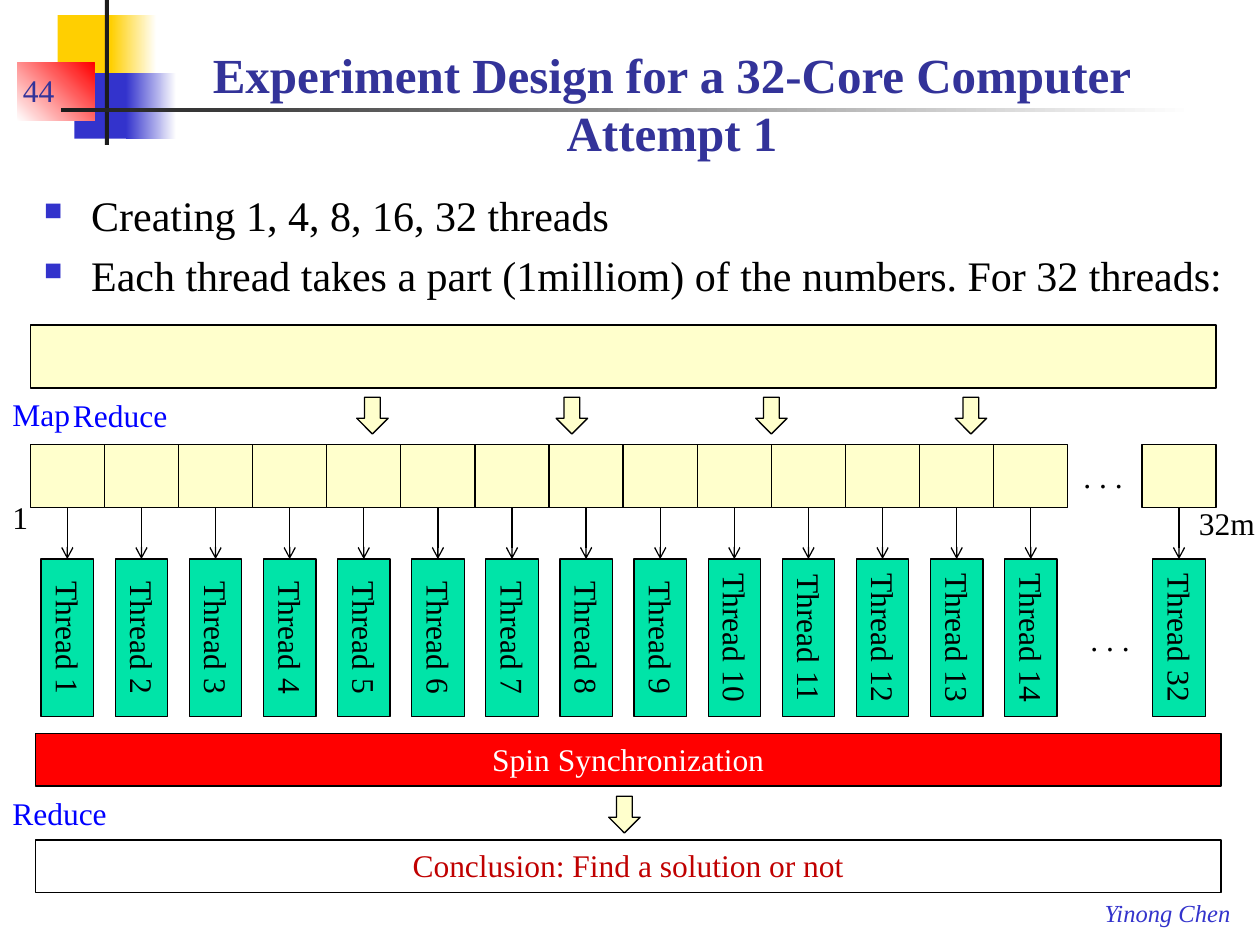
from dataclasses import dataclass, field
from typing import Any, Optional

import pptx
import pptx.dml.color
import pptx.enum.shapes
import pptx.enum.text
import pptx.oxml
import pptx.oxml.ns
import pptx.util

Pt = pptx.util.Pt
SHAPE = pptx.enum.shapes.MSO_SHAPE
ANCHOR = pptx.enum.text.MSO_ANCHOR
ALIGN = pptx.enum.text.PP_ALIGN
FIT = pptx.enum.text.MSO_AUTO_SIZE


@dataclass(frozen=True)
class Theme:
    font: str = "Times New Roman"
    title_size: float = 28
    body_size: float = 24
    label_size: float = 18
    footer_size: float = 14
    line_width: float = 0.75
    navy: str = "333399"
    blue: str = "3333CC"
    link: str = "0000FF"
    gold: str = "FFCF01"
    red: str = "FF0000"
    dark_red: str = "C00000"
    cream: str = "FFFFCC"
    green: str = "00E4A8"
    ink: str = "1C1C1C"
    black: str = "000000"
    white: str = "FFFFFF"


T = Theme()


@dataclass(frozen=True)
class Frame:
    x: float
    y: float
    w: float
    h: float

    def lengths(self) -> tuple:
        return tuple(Pt(v) for v in (self.x, self.y, self.w, self.h))


@dataclass(frozen=True)
class Decor:
    frame: Frame
    start: str
    end: Optional[str] = None
    angle: float = 0


@dataclass(frozen=True)
class Box:
    frame: Frame
    fill: str
    text: str = ""
    color: str = T.black
    kind: Any = SHAPE.RECTANGLE
    rotation: float = 0


@dataclass(frozen=True)
class Label:
    frame: Frame
    text: str
    color: str = T.black
    font: dict = field(default_factory=dict)
    frame_format: dict = field(default_factory=dict)


DECOR = [
    Decor(Frame(33, 8.6, 34.6, 37.4), T.gold),
    Decor(Frame(63.4, 8.6, 26, 37.4), T.gold, T.white),
    Decor(Frame(42.5, 41.8, 33, 37.4), T.blue),
    Decor(Frame(72, 41.8, 28.8, 37.4), T.blue, T.white),
    Decor(Frame(10, 36, 44, 33.1), T.white, T.red, 45),
    Decor(Frame(60, 0, 2.2, 82.8), T.ink),
    Decor(Frame(34.6, 62, 648, 2.2), T.ink, T.white),
]
LABELS = [
    Label(Frame(624.2, 509.8, 86.4, 24.5), "Yinong Chen", T.blue,
          {"size": Pt(T.footer_size), "italic": True}),
    Label(Frame(6, 30, 61.2, 36), "44", T.navy,
          frame_format={"vertical_anchor": ANCHOR.BOTTOM, "auto_size": FIT.NONE, "word_wrap": True}),
    Label(Frame(0, 281, 24, 29), "1"),
    Label(Frame(678, 284.4, 46.8, 29), "32m"),
    Label(Frame(616, 350.6, 37.4, 29), ". . ."),
    Label(Frame(612, 257.8, 37.4, 29), ". . ."),
    Label(Frame(0, 222, 47.5, 29), "Map", T.link),
    Label(Frame(0, 450, 69, 29), "Reduce", T.link),
    Label(Frame(34.6, 223, 69, 29), "Reduce", T.link),
]
BULLETS = ["Creating 1, 4, 8, 16, 32 threads",
           "Each thread takes a part (1milliom) of the numbers. For 32 threads:"]
ROW_X, ROW_W, SLOTS = 17.3, 677.6, 16
PITCH = ROW_W / SLOTS
CELL_Y, CELL_H = 254.2, 36
THREAD_Y, THREAD_LEN, THREAD_W = 319.5, 90, 30
THREADS = [(i, i + 1) for i in range(14)] + [(15, 32)]
BARS = [
    Box(Frame(ROW_X, 185.8, ROW_W, CELL_H), T.cream),
    Box(Frame(20.2, 419.2, ROW_W, 30), T.red, "Spin Synchronization", T.white),
    Box(Frame(20.2, 480, ROW_W, 30), T.white, "Conclusion: Find a solution or not", T.dark_red),
]
ARROWS = [(203.8 + 114 * i, 227) for i in range(4)] + [(347.8, 455)]


def rgb(value: str) -> Any:
    return pptx.dml.color.RGBColor.from_string(value)


def apply(obj: Any, values: dict) -> None:
    for name, value in values.items():
        setattr(obj, name, value)


def write(p: Any, text: str, color: str, **font: Any) -> None:
    p.text = text
    for r in p.runs:
        apply(r.font, {"name": T.font, "size": Pt(T.label_size), **font})
        r.font.color.rgb = rgb(color)


def draw_decor(s: Any, item: Decor) -> None:
    sp = s.shapes.add_shape(SHAPE.RECTANGLE, *item.frame.lengths())
    sp.shadow.inherit = False
    sp.line.fill.background()
    if item.end is None:
        sp.fill.solid()
        sp.fill.fore_color.rgb = rgb(item.start)
        return
    sp.fill.gradient()
    sp.fill.gradient_angle = item.angle
    for stop, color, position in zip(sp.fill.gradient_stops, (item.start, item.end), (0, 1)):
        stop.color.rgb = rgb(color)
        stop.position = position


def draw_box(s: Any, box: Box) -> Any:
    sp = s.shapes.add_shape(box.kind, *box.frame.lengths())
    sp.shadow.inherit = False
    sp.fill.solid()
    sp.fill.fore_color.rgb = rgb(box.fill)
    sp.line.color.rgb = rgb(T.black)
    sp.line.width = Pt(T.line_width)
    sp.rotation = box.rotation
    if box.text:
        sp.text_frame.vertical_anchor = ANCHOR.TOP
        p = sp.text_frame.paragraphs[0]
        p.alignment = ALIGN.CENTER
        write(p, box.text, box.color)
    return sp


def draw_label(s: Any, label: Label) -> None:
    tf = s.shapes.add_textbox(*label.frame.lengths()).text_frame
    apply(tf, {"word_wrap": False, "auto_size": FIT.SHAPE_TO_FIT_TEXT, **label.frame_format})
    write(tf.paragraphs[0], label.text, label.color, **label.font)


def draw_thread(s: Any, slot: int, number: int) -> None:
    x = ROW_X + slot * PITCH
    middle = x + PITCH / 2
    cell = draw_box(s, Box(Frame(x, CELL_Y, PITCH, CELL_H), T.cream))
    frame = Frame(middle - THREAD_LEN / 2, THREAD_Y + (THREAD_LEN - THREAD_W) / 2, THREAD_LEN, THREAD_W)
    thread = draw_box(s, Box(frame, T.green, f"Thread {number}", rotation=90))
    ends = [Pt(v) for v in (middle, CELL_Y + CELL_H, middle, THREAD_Y)]
    line = s.shapes.add_connector(pptx.enum.shapes.MSO_CONNECTOR.STRAIGHT, *ends)
    line.begin_connect(cell, 2)
    line.end_connect(thread, 1)
    apply(line, dict(zip(("begin_x", "begin_y", "end_x", "end_y"), ends)))
    line.line.color.rgb = rgb(T.black)
    line.line.width = Pt(T.line_width)
    ns = pptx.oxml.ns.nsdecls("a")
    line.line._get_or_add_ln().append(pptx.oxml.parse_xml(f'<a:tailEnd {ns} type="arrow"/>'))
    line._element.spPr.append(pptx.oxml.parse_xml(f"<a:effectLst {ns}/>"))


def draw_title(s: Any) -> None:
    title = s.shapes.title
    title._element.getparent().append(title._element)
    apply(title, dict(zip(("left", "top", "width", "height"), Frame(54, 24, 660, 72).lengths())))
    tf = title.text_frame
    apply(tf, {"vertical_anchor": ANCHOR.BOTTOM, "auto_size": FIT.NONE, "word_wrap": True})
    p = tf.paragraphs[0]
    p.alignment = ALIGN.CENTER
    write(p, "Experiment Design for a 32-Core Computer\vAttempt 1", T.navy,
          size=Pt(T.title_size), bold=True)


def draw_bullets(s: Any) -> None:
    tf = s.shapes.add_textbox(*Frame(18, 104.5, 696, 96).lengths()).text_frame
    tf.word_wrap = True
    ns = pptx.oxml.ns.nsdecls("a")
    for i, text in enumerate(BULLETS):
        p = tf.add_paragraph() if i else tf.paragraphs[0]
        p.space_before = Pt(5.5 if i else 0)
        pPr = p._p.get_or_add_pPr()
        apply_indent = {"marL": Pt(27), "indent": -Pt(27)}
        for name, value in apply_indent.items():
            pPr.set(name, str(value))
        for tag in (f'<a:buClr {ns}><a:srgbClr val="{T.blue}"/></a:buClr>',
                    f'<a:buSzPct {ns} val="60000"/>', f'<a:buChar {ns} char="■"/>'):
            pPr.append(pptx.oxml.parse_xml(tag))
        write(p, text, T.black, size=Pt(T.body_size))


def main() -> None:
    """Build the 32-core experiment design slide."""
    prs = pptx.Presentation()
    apply(prs, {"slide_width": Pt(720), "slide_height": Pt(540)})
    s = prs.slides.add_slide(prs.slide_layouts[5])
    for item in DECOR:
        draw_decor(s, item)
    draw_title(s)
    draw_bullets(s)
    for bar in BARS:
        draw_box(s, bar)
    for x, y in ARROWS:
        draw_box(s, Box(Frame(x, y, 18, 21), T.cream, kind=SHAPE.DOWN_ARROW))
    for slot, number in THREADS:
        draw_thread(s, slot, number)
    for label in LABELS:
        draw_label(s, label)
    prs.save("out.pptx")


if __name__ == "__main__":
    main()
